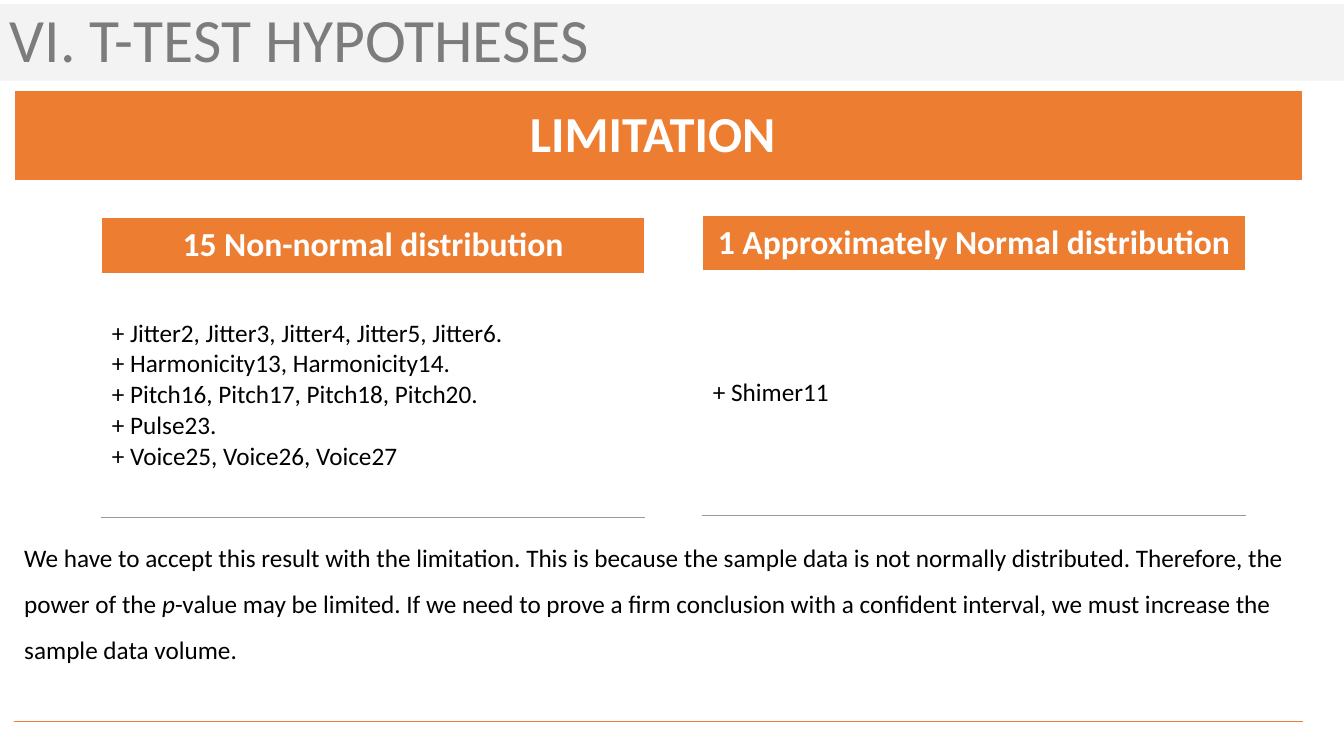
from lxml.etree import SubElement
from pptx import Presentation
from pptx.dml.color import RGBColor as RGB
from pptx.enum.shapes import MSO_SHAPE as Preset
from pptx.enum.text import MSO_ANCHOR as Anchor, PP_ALIGN as Align
from pptx.oxml import parse_xml
from pptx.oxml.ns import nsdecls, qn
from pptx.util import Inches, Pt

THEME = {
    "font": "Calibri",
    "orange": "ED7D31", "band": "F2F2F2", "heading": "7C7C7C",
    "white": "FFFFFF", "ink": "000000", "rule": "999999",
    "title": 44, "banner": 36, "column": 24, "body": 18,
}

deck = Presentation()
deck.slide_width, deck.slide_height = Inches(13.33), Inches(7.5)
slide = deck.slides.add_slide(deck.slide_layouts[6])
col, row = deck.slide_width / 100, deck.slide_height / 100


def write(frame, lines, size, color, bold=False, **layout):
    for index, pieces in enumerate(lines):
        line = frame.paragraphs[0] if index == 0 else frame.add_paragraph()
        for name, value in layout.items():
            setattr(line, name, value)
        for words, italic in pieces:
            run = line.add_run()
            run.text = words
            look = {"name": THEME["font"], "size": Pt(THEME[size]),
                    "bold": bold, "italic": italic}
            for name, value in look.items():
                setattr(run.font, name, value)
            run.font.color.rgb = RGB.from_string(THEME[color])


heading = slide.shapes.add_shape(
    Preset.RECTANGLE, 0, int(0.53 * row), deck.slide_width, int(10.13 * row))
heading.shadow.inherit = False
heading.line.fill.background()
heading.fill.solid()
heading.fill.fore_color.rgb = RGB.from_string(THEME["band"])
tint = heading.fill._xPr.find(qn("a:solidFill"))[0]
SubElement(tint, qn("a:alpha"), val="85000")
heading.text_frame.vertical_anchor = Anchor.MIDDLE
write(heading.text_frame, [[("VI. T-TEST HYPOTHESES", False)]],
      "title", "heading", alignment=Align.LEFT, line_spacing=0.9)

conclusion = [[
    ("We have to accept this result with the limitation. This is because the "
     "sample data is not normally distributed. Therefore, the power of the\u00a0", False),
    ("p", True),
    ("-value may be limited. If we need to prove a firm conclusion with a "
     "confident interval, we must increase the sample data volume.", False),
]]
non_normal = [[(names, False)] for names in (
    "+ Jitter2, Jitter3, Jitter4, Jitter5, Jitter6.",
    "+ Harmonicity13, Harmonicity14.",
    "+ Pitch16, Pitch17, Pitch18, Pitch20.",
    "+ Pulse23.",
    "+ Voice25, Voice26, Voice27",
)]
near_normal = [[("+ Shimer11", False)]]

below_columns = {"vertical_anchor": Anchor.TOP, "margin_top": int(46 * row)}
centred = {"vertical_anchor": Anchor.MIDDLE}

panels = [
    ("LIMITATION ", "banner", conclusion, (1.05, 12, 95.87), (11.87, 71.47),
     below_columns, 1.5, "orange"),
    ("15 Non-normal distribution", "column", non_normal, (7.58, 28.8, 40.36),
     (7.33, 32.27), centred, 1.0, "rule"),
    ("1 Approximately Normal distribution", "column", near_normal,
     (52.29, 28.53, 40.36), (7.2, 32.4), centred, 1.0, "rule"),
]

for label, size, body, (left, top, width), heights, placing, spacing, rule in panels:
    panel = slide.shapes.add_table(
        2, 1, int(left * col), int(top * row),
        int(width * col), int(sum(heights) * row)).table
    for option in ("first_row", "horz_banding"):
        setattr(panel, option, False)
    for index, height in enumerate(heights):
        panel.rows[index].height = int(height * row)
    header, content = panel.cell(0, 0), panel.cell(1, 0)
    for cell, paint, places in ((header, "orange", centred), (content, "white", placing)):
        cell.fill.solid()
        cell.fill.fore_color.rgb = RGB.from_string(THEME[paint])
        for name, value in places.items():
            setattr(cell, name, value)
    write(header.text_frame, [[(label, False)]], size, "white", True,
          alignment=Align.CENTER)
    write(content.text_frame, body, "body", "ink", line_spacing=spacing)
    content._tc.get_or_add_tcPr().insert(0, parse_xml(
        f'<a:lnB {nsdecls("a")} w="3175"><a:solidFill>'
        f'<a:srgbClr val="{THEME[rule]}"/></a:solidFill></a:lnB>'))

deck.save("out.pptx")
